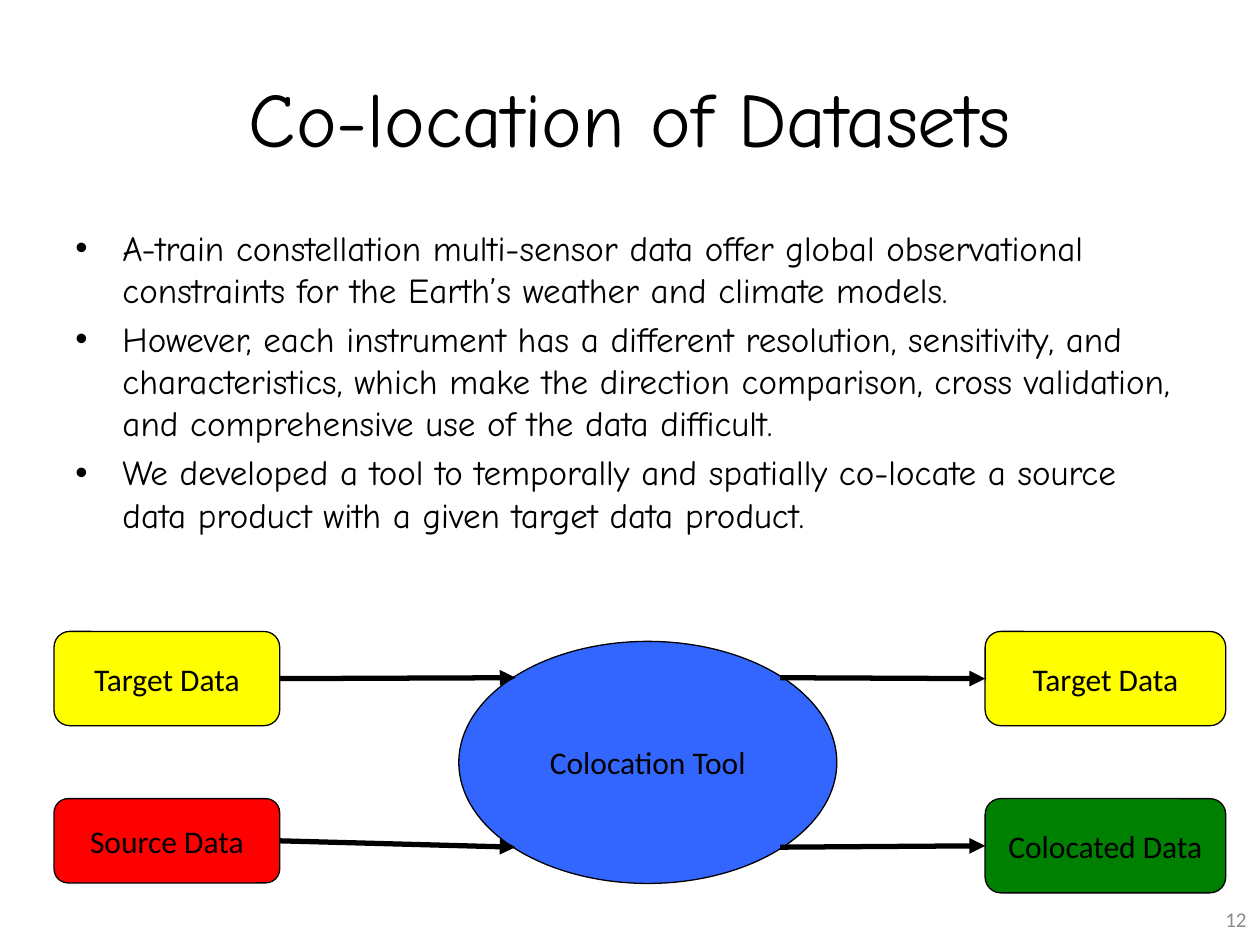
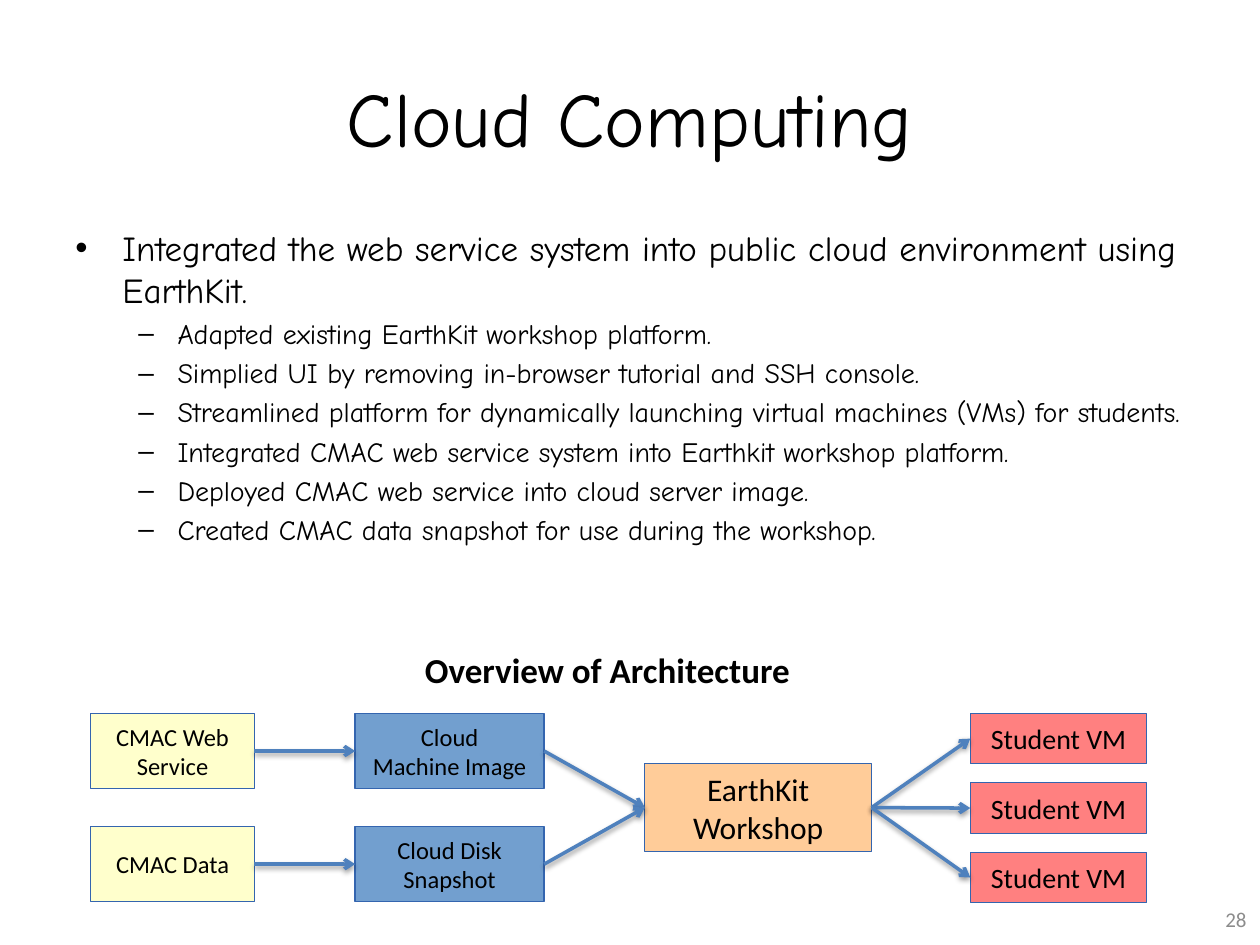
from dataclasses import dataclass

from lxml.etree import SubElement
from pptx import Presentation
from pptx.dml.color import RGBColor
from pptx.enum.shapes import MSO_CONNECTOR, MSO_SHAPE
from pptx.enum.text import MSO_ANCHOR, PP_ALIGN
from pptx.oxml.ns import qn
from pptx.util import Cm, Pt

COLORS = {
    "text": "000000",
    "number": "8C8C8C",
    "outline": "3465AF",
    "flow": "4F81BD",
    "target": "FFFF00",
    "source": "FF0000",
    "colocated": "008000",
    "tool": "3366FF",
    "cmac": "FFFFCC",
    "storage": "729FCF",
    "workshop": "FFCC99",
    "student": "FF8080",
}
HAND_FONT, PLAIN_FONT = "Comic Neue", "Calibri"
LEFT_SITE, RIGHT_SITE = 1, 3


@dataclass
class Level:
    """Format of one bullet level, with lengths in cm."""
    bullet: str
    size: int
    margin: float
    hang: float


@dataclass
class Node:
    """A labelled shape of a diagram, with lengths in cm."""
    text: str
    left: float
    top: float
    width: float
    height: float
    fill: str
    size: int = 18
    shape: MSO_SHAPE = MSO_SHAPE.RECTANGLE
    line: str = "outline"


@dataclass
class ArrowStyle:
    color: str
    width: float
    head: str
    shadow: bool


LEVELS = [Level("•", 20, 0.95, 0.95), Level("–", 16, 2.06, 0.79)]
BOLD_ARROW = ArrowStyle("text", 3, "triangle", False)
FLOW_ARROW = ArrowStyle("flow", 2, "arrow", True)


def rgb(name: str) -> RGBColor:
    return RGBColor.from_string(COLORS[name])


def add_text(tf, text, *, size, font=PLAIN_FONT, color="text", bold=False,
             align=PP_ALIGN.LEFT, level=None) -> None:
    """Append each line of text as a paragraph."""
    for line in text.split("\n"):
        first = not tf.paragraphs[0].runs
        p = tf.paragraphs[0] if first else tf.add_paragraph()
        p.alignment = align
        if level:
            pPr = p._p.get_or_add_pPr()
            pPr.set("marL", str(Cm(level.margin)))
            pPr.set("indent", str(-Cm(level.hang)))
            if not first:
                p.space_before = Pt(size * 0.2)
            SubElement(pPr, qn("a:buFont"), typeface="Arial")
            SubElement(pPr, qn("a:buChar"), char=level.bullet)
        r = p.add_run()
        r.text = line
        r.font.size, r.font.name, r.font.bold = Pt(size), font, bold
        r.font.color.rgb = rgb(color)


def add_box(s, left, top, width, height, anchor=MSO_ANCHOR.MIDDLE):
    tf = s.shapes.add_textbox(Cm(left), Cm(top), Cm(width), Cm(height)).text_frame
    tf.word_wrap = True
    tf.vertical_anchor = anchor
    return tf


def add_node(s, node: Node):
    sp = s.shapes.add_shape(node.shape, Cm(node.left), Cm(node.top),
                            Cm(node.width), Cm(node.height))
    sp.shadow.inherit = False
    sp.fill.solid()
    sp.fill.fore_color.rgb = rgb(node.fill)
    sp.line.color.rgb = rgb(node.line)
    sp.line.width = Pt(0.75)
    tf = sp.text_frame
    tf.word_wrap = False
    tf.vertical_anchor = MSO_ANCHOR.MIDDLE
    add_text(tf, node.text, size=node.size, align=PP_ALIGN.CENTER)
    return sp


def add_arrow(s, start, end, style: ArrowStyle) -> None:
    """Run from the right of start to the left of end; either may be a point."""
    cxn = s.shapes.add_connector(MSO_CONNECTOR.STRAIGHT, 0, 0, 0, 0)
    if isinstance(start, tuple):
        cxn.begin_x, cxn.begin_y = start
    else:
        cxn.begin_connect(start, RIGHT_SITE)
    if isinstance(end, tuple):
        cxn.end_x, cxn.end_y = end
    else:
        cxn.end_connect(end, LEFT_SITE)
    cxn.line.color.rgb = rgb(style.color)
    cxn.line.width = Pt(style.width)
    SubElement(cxn.line._get_or_add_ln(), qn("a:tailEnd"), type=style.head)
    effects = SubElement(cxn._element.spPr, qn("a:effectLst"))
    if style.shadow:
        shadow = SubElement(effects, qn("a:outerShdw"), blurRad=str(Pt(3.1)),
                            dist=str(Pt(1.6)), dir="5400000", rotWithShape="0")
        black = SubElement(shadow, qn("a:srgbClr"), val=COLORS["text"])
        SubElement(black, qn("a:alpha"), val="38000")


def add_slide(prs, title: str, number: int, items: list[tuple[int, str]]):
    """Add a slide with its title, bullets and page number."""
    s = prs.slides.add_slide(prs.slide_layouts[6])
    add_text(add_box(s, 1.27, 0.76, 22.86, 3.18), title, size=44,
             font=HAND_FONT, align=PP_ALIGN.CENTER)
    body = add_box(s, 1.27, 4.45, 22.86, 12.57, MSO_ANCHOR.TOP)
    for depth, text in items:
        level = LEVELS[depth]
        add_text(body, text, size=level.size, font=HAND_FONT, level=level)
    add_text(add_box(s, 19.46, 18.01, 5.92, 1.02), str(number), size=12,
             color="number", align=PP_ALIGN.RIGHT)
    return s


def build_colocation(prs) -> None:
    s = add_slide(prs, "Co-location of Datasets", 12, [
        (0, "A-train constellation multi-sensor data offer global observational "
            "constraints for the Earth’s weather and climate models."),
        (0, "However, each instrument has a different resolution, sensitivity, and "
            "characteristics, which make the direction comparison, cross validation, "
            "and comprehensive use of the data difficult."),
        (0, "We developed a tool to temporally and spatially co-locate a source "
            "data product with a given target data product."),
    ])

    # Tool with its inputs and outputs
    def data_box(text, left, top, width, height, fill):
        return add_node(s, Node(text, left, top, width, height, fill,
                                shape=MSO_SHAPE.ROUNDED_RECTANGLE, line="text"))

    tool = add_node(s, Node("Colocation Tool", 9.25, 12.93, 7.62, 4.88, "tool",
                            shape=MSO_SHAPE.OVAL, line="text"))
    upper, lower = 12.73, 16.1
    inputs = [data_box("Target Data", 1.09, upper, 4.55, 1.9, "target"),
              data_box("Source Data", 1.09, lower, 4.55, 1.7, "source")]
    outputs = [data_box("Target Data", 19.86, upper, 4.85, 1.9, "target"),
               data_box("Colocated Data", 19.86, lower, 4.85, 1.9, "colocated")]

    # Arrows meet the ellipse on its diagonals
    def rim(x_share: float, y_share: float) -> tuple[int, int]:
        return (int(tool.left + x_share * tool.width),
                int(tool.top + y_share * tool.height))

    near, far = 0.15, 0.85
    for source, result, height in zip(inputs, outputs, (near, far)):
        add_arrow(s, source, rim(near, height), BOLD_ARROW)
        add_arrow(s, rim(far, height), result, BOLD_ARROW)


def build_cloud(prs) -> None:
    s = add_slide(prs, "Cloud Computing", 28, [
        (0, "Integrated the web service system into public cloud environment "
            "using EarthKit."),
        (1, "Adapted existing EarthKit workshop platform."),
        (1, "Simplied UI by removing in-browser tutorial and SSH console."),
        (1, "Streamlined platform for dynamically launching virtual machines (VMs) "
            "for students."),
        (1, "Integrated CMAC web service system into Earthkit workshop platform."),
        (1, "Deployed CMAC web service into cloud server image."),
        (1, "Created CMAC data snapshot for use during the workshop."),
    ])
    add_text(add_box(s, 4.6, 12.98, 15.29, 1.04), "Overview of Architecture",
             size=20, bold=True, align=PP_ALIGN.CENTER)

    # Service and data lanes feed the workshop
    top, lane_step, vm_step = 14.38, 2.28, 1.4
    workshop = add_node(s, Node("EarthKit\nWorkshop", 13, 15.39, 4.57, 1.78, "workshop"))
    lanes = [("CMAC Web\nService", "Cloud\nMachine Image"),
             ("CMAC Data", "Cloud Disk\nSnapshot")]
    for i, (origin, stored) in enumerate(lanes):
        y = top + i * lane_step
        cmac = add_node(s, Node(origin, 1.83, y, 3.3, 1.52, "cmac", 14))
        storage = add_node(s, Node(stored, 7.16, y, 3.81, 1.52, "storage", 14))
        add_arrow(s, cmac, storage, FLOW_ARROW)
        add_arrow(s, storage, workshop, FLOW_ARROW)

    # Workshop starts the student machines
    for i in range(3):
        vm = add_node(s, Node("Student VM", 19.56, top + i * vm_step, 3.56, 1.02,
                              "student", 16))
        add_arrow(s, workshop, vm, FLOW_ARROW)


def main() -> None:
    prs = Presentation()
    prs.slide_width, prs.slide_height = Cm(25.4), Cm(19.05)
    build_colocation(prs)
    build_cloud(prs)
    prs.save("out.pptx")


if __name__ == "__main__":
    main()
